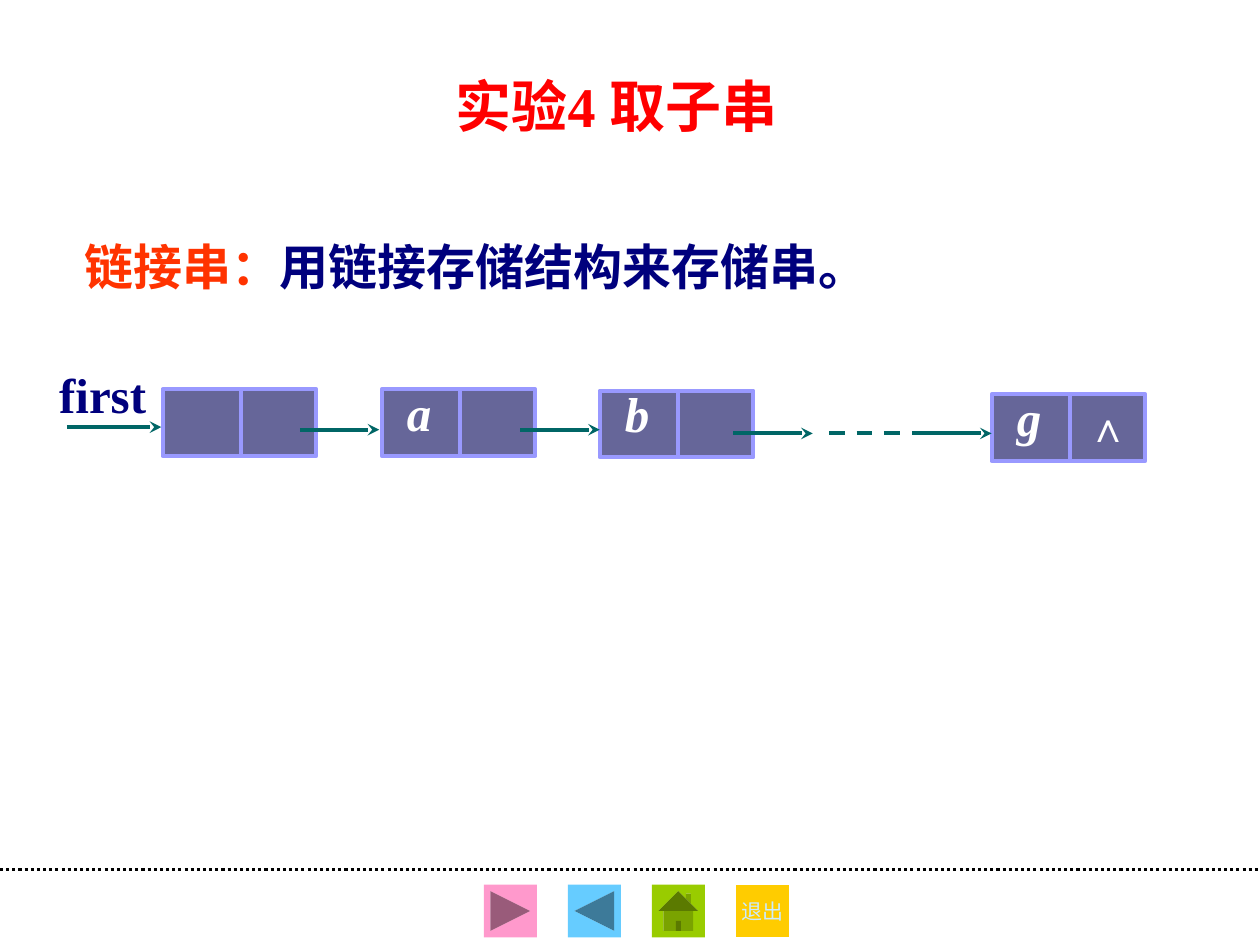
from lxml import etree
from pptx import Presentation
from pptx.dml.color import RGBColor
from pptx.enum import dml, shapes, text
from pptx.oxml.ns import qn
from pptx.util import Inches, Pt

COLORS = {
    "title": "FF0000", "term": "FF3300", "navy": "00007D", "white": "FFFFFF",
    "node": "666699", "node_edge": "9999FF", "arrow": "006666",
    "black": "000000", "exit_text": "CCECFF",
    "pink": "FF99CC", "blue": "66CCFF", "green": "99CC00", "yellow": "FFCC00",
}
LATIN, CJK = "Times New Roman", "Noto Sans CJK SC"

TITLE = [("实验4 取子串", "title")]
DEFINITION = [("链接串：", "term"), ("用链接存储结构来存储串。", "navy")]

NODE_W, NODE_H, DIVIDER_X = 1.22, 0.53, 0.62
NODES = [(1.29, 3.09, ""), (3.03, 3.09, "a"), (4.76, 3.1, "b"), (7.87, 3.13, "g")]
# left, right, y
ARROWS = [(0.53, 1.28, 3.39), (2.38, 3.01, 3.41), (4.13, 4.76, 3.41),
          (5.82, 6.45, 3.44), (7.24, 7.87, 3.44)]
ELLIPSIS = (6.58, 7.2, 3.44)

BUTTON_LEFT, BUTTON_TOP, BUTTON_SIZE, BUTTON_STEP = 3.84, 7.02, 0.42, 0.667
SHAPE = shapes.MSO_SHAPE
BUTTONS = [
    (SHAPE.ACTION_BUTTON_FORWARD_OR_NEXT, "pink", ""),
    (SHAPE.ACTION_BUTTON_BACK_OR_PREVIOUS, "blue", ""),
    (SHAPE.ACTION_BUTTON_HOME, "green", ""),
    (SHAPE.ACTION_BUTTON_CUSTOM, "yellow", "退出"),
]

deck = Presentation()
deck.slide_width, deck.slide_height = Inches(10), Inches(7.5)
slide = deck.slides.add_slide(deck.slide_layouts[6])


def rgb(name):
    return RGBColor.from_string(COLORS[name])


def write(frame, runs, size, insets=(0.1, 0.05, 0.1, 0.05), align=text.PP_ALIGN.LEFT,
          anchor=text.MSO_ANCHOR.TOP, wrap=True, latin=LATIN, bold=True, italic=False):
    """Fill a text frame with one paragraph of (text, colour) runs."""
    frame.word_wrap = wrap
    frame.vertical_anchor = anchor
    (frame.margin_left, frame.margin_top,
     frame.margin_right, frame.margin_bottom) = map(Inches, insets)
    paragraph = frame.paragraphs[0]
    paragraph.alignment = align
    font = paragraph.font
    font.name, font.size, font.bold, font.italic = latin, Pt(size), bold, italic
    for words, color in runs:
        run = paragraph.add_run()
        run.text = words
        run.font.color.rgb = rgb(color)
        if not words.isascii():
            run.font.name = latin
            east_asian = etree.SubElement(run.font._element, qn("a:ea"))
            east_asian.set("typeface", CJK)
    return paragraph


def add_label(box, runs, size, **style):
    label = slide.shapes.add_textbox(*map(Inches, box))
    write(label.text_frame, runs, size, **style)


def add_filled(kind, box, fill, edge=None):
    shape = slide.shapes.add_shape(kind, *map(Inches, box))
    shape.shadow.inherit = False
    shape.fill.solid()
    shape.fill.fore_color.rgb = rgb(fill)
    if edge:
        shape.line.color.rgb = rgb(edge)
        shape.line.width = Pt(2.25)
    else:
        shape.line.fill.background()
    return shape


def add_line(start, end, color, width=2.25, dash=None, arrow=False):
    line = slide.shapes.add_connector(
        shapes.MSO_CONNECTOR.STRAIGHT, *map(Inches, start + end))
    line.line.color.rgb = rgb(color)
    line.line.width = Pt(width)
    if dash:
        line.line.dash_style = dash
    if arrow:
        etree.SubElement(line.line._get_or_add_ln(), qn("a:tailEnd"), type="stealth")
    etree.SubElement(line._element.spPr, qn("a:effectLst"))


# Footer with navigation buttons
add_line((0, 6.9), (10, 6.9), "black", 1.75, dml.MSO_LINE.ROUND_DOT)
for i, (kind, fill, caption) in enumerate(BUTTONS):
    left = BUTTON_LEFT + i * BUTTON_STEP
    button = add_filled(kind, (left, BUTTON_TOP, BUTTON_SIZE, BUTTON_SIZE), fill)
    if caption:
        write(button.text_frame, [(caption, "exit_text")], 12, align=text.PP_ALIGN.CENTER,
              anchor=text.MSO_ANCHOR.MIDDLE, wrap=False, latin="Arial", bold=False)

# Title and definition
add_label((0.54, 0.52, 8.71, 0.63), TITLE, 32, align=text.PP_ALIGN.CENTER)
add_label((0.57, 1.83, 8.05, 0.57), DEFINITION, 28, align=text.PP_ALIGN.JUSTIFY)

# Linked list
add_label((0.47, 2.89, 0.83, 0.51), [("first", "navy")], 28, insets=(0, 0, 0, 0.04))
for left, top, letter in NODES:
    node = add_filled(SHAPE.RECTANGLE, (left, top, NODE_W, NODE_H), "node", "node_edge")
    if letter:
        paragraph = write(node.text_frame, [(letter, "white")], 28,
                          insets=(0.2, 0, 0, 0.08), italic=True)
        paragraph.line_spacing = 0.9
    middle = left + DIVIDER_X
    add_line((middle, top), (middle, top + NODE_H - 0.02), "node_edge")
add_label((8.53, 3.13, 0.57, 0.49), [("∧", "white")], 24, insets=(0.1, 0.05, 0.1, 0.04))

for left, right, y in ARROWS:
    add_line((left, y), (right, y), "arrow", arrow=True)
left, right, y = ELLIPSIS
add_line((left, y), (right, y), "arrow", dash=dml.MSO_LINE.DASH)

deck.save("out.pptx")
